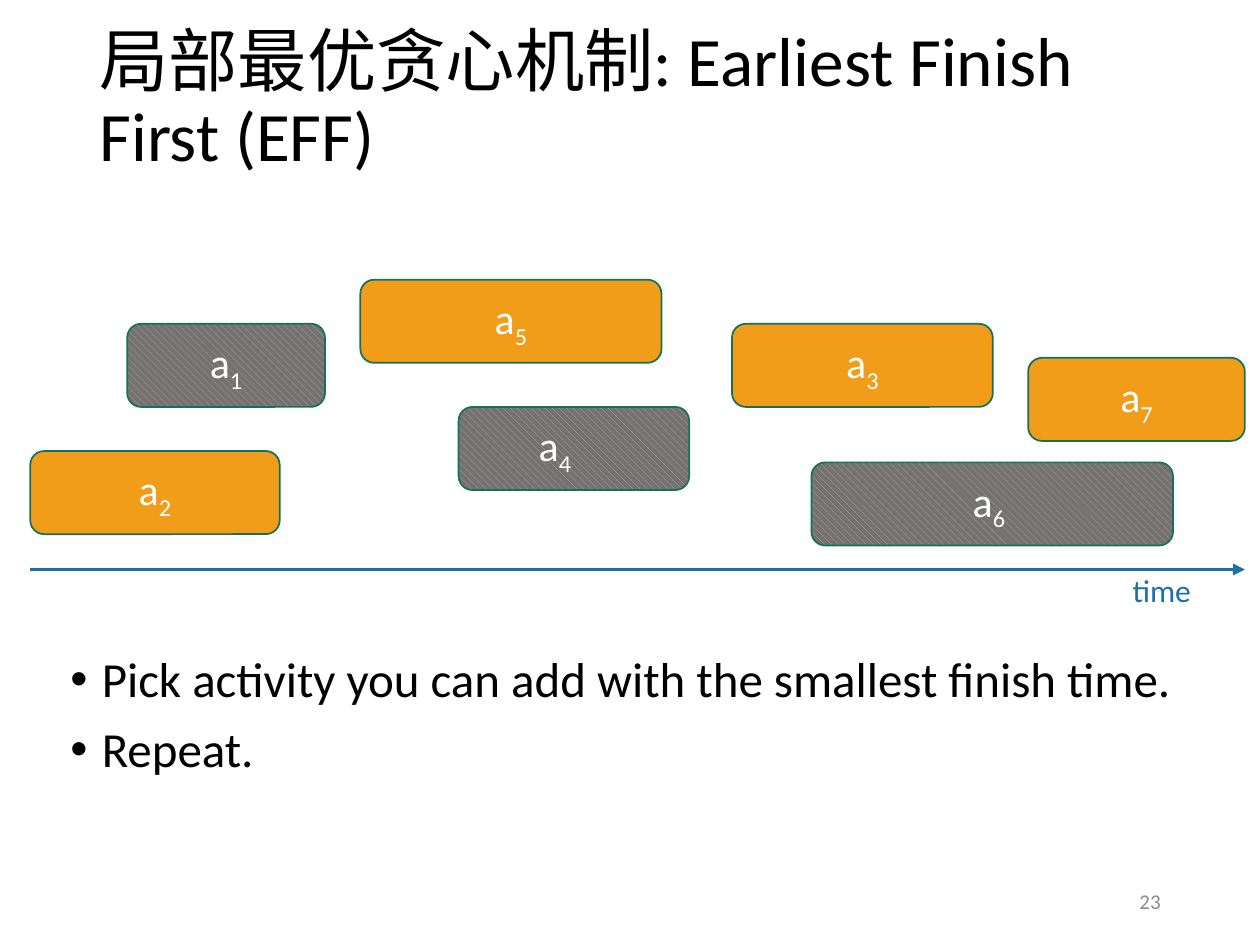
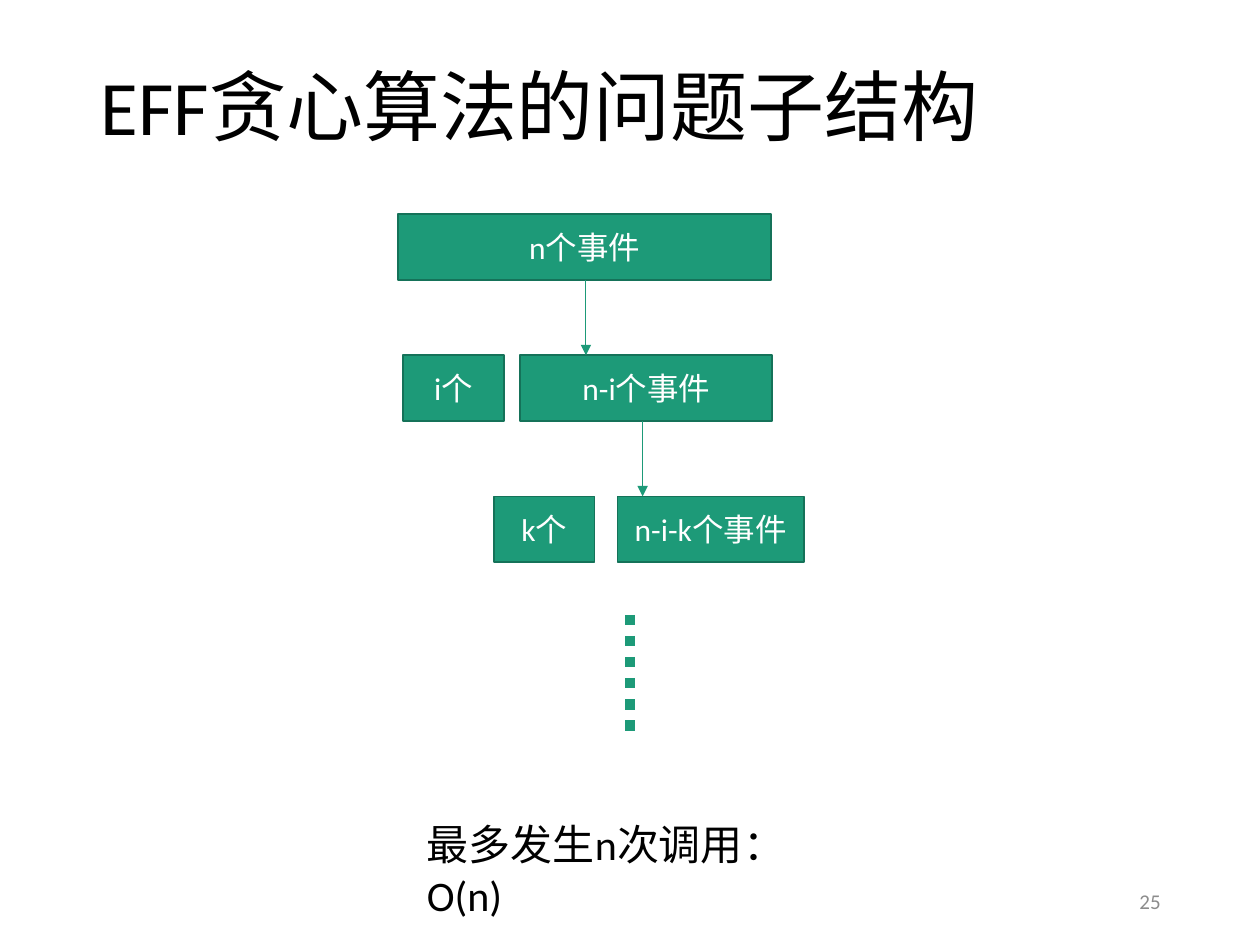
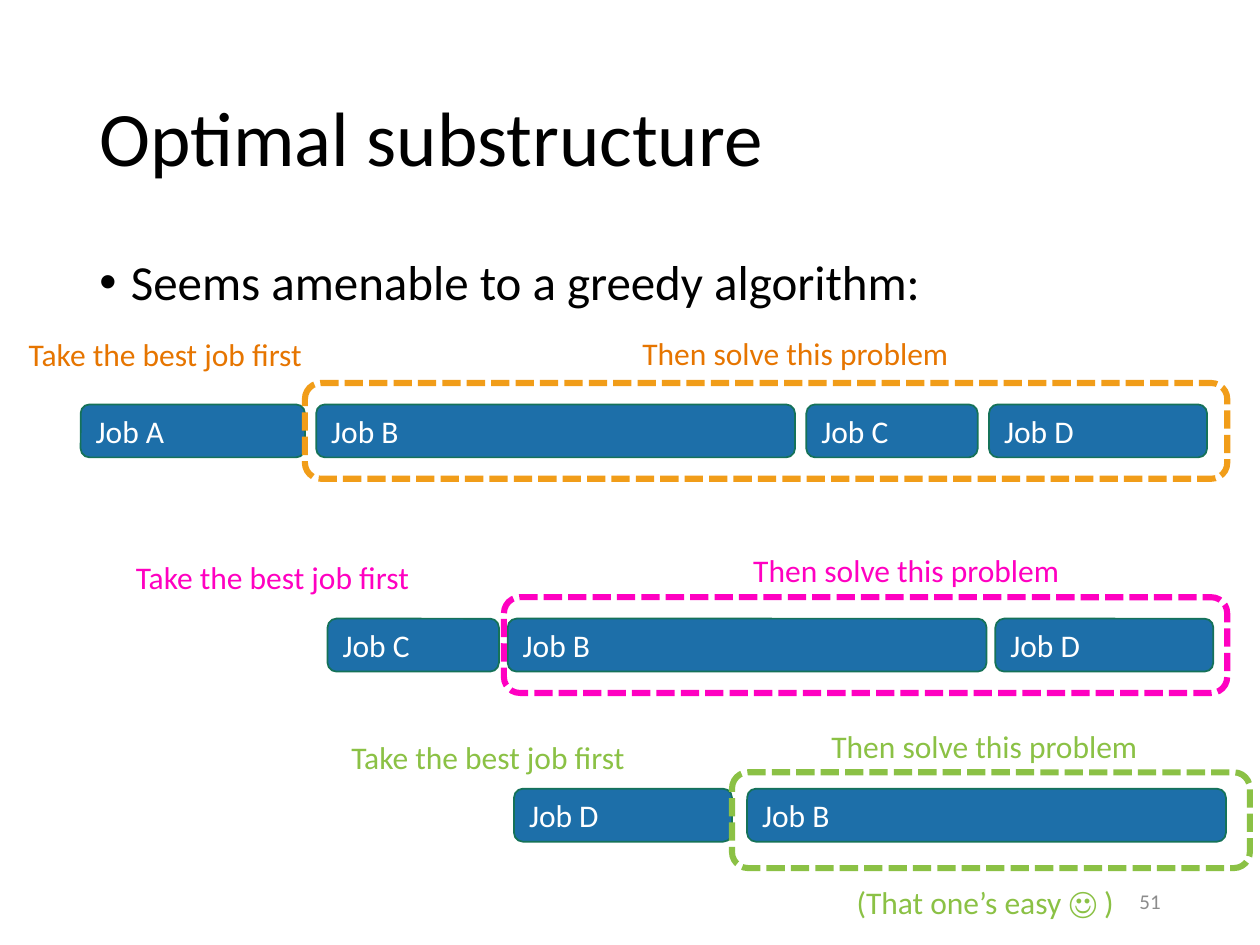
from dataclasses import dataclass

from lxml.etree import SubElement
from pptx import Presentation
from pptx.dml.color import RGBColor
from pptx.enum.dml import MSO_LINE, MSO_PATTERN
from pptx.enum.lang import MSO_LANGUAGE_ID
from pptx.enum.shapes import MSO_CONNECTOR, MSO_SHAPE
from pptx.enum.text import MSO_ANCHOR, PP_ALIGN
from pptx.oxml.ns import qn
from pptx.util import Inches, Pt


@dataclass(frozen=True)
class Theme:
    font: str = "Calibri"
    ink: str = "000000"
    paper: str = "FFFFFF"
    muted: str = "8C8C8C"
    edge: str = "157259"
    green: str = "1D9A78"
    blue: str = "1D6FA9"
    orange: str = "F19D19"
    dark_orange: str = "E67500"
    pink: str = "FF00C1"
    lime: str = "8BC145"
    hatch: str = "AFABAB"
    hatch_ground: str = "767171"
    title: float = 44
    long_title: float = 39.6
    body: float = 28
    label: float = 24
    caption: float = 18
    footer: float = 12


THEME = Theme()
WIDTH, HEIGHT = Inches(10), Inches(7.5)
COLUMNS, ROWS = 100, 75


def across(columns):
    return round(WIDTH * columns / COLUMNS)


def down(rows):
    return round(HEIGHT * rows / ROWS)


def place(column, row, columns, rows):
    return across(column), down(row), across(columns), down(rows)


def apply(target, values):
    for name, value in values.items():
        setattr(target, name, value)


def write(paragraph, text, size, color, subscript=""):
    for part in filter(None, (text, subscript)):
        run = paragraph.add_run()
        run.text = part
        apply(run.font, {
            "name": THEME.font,
            "size": Pt(size),
            "language_id": MSO_LANGUAGE_ID.SIMPLIFIED_CHINESE,
        })
        run.font.color.rgb = RGBColor.from_string(color)
        if part == subscript:
            run.font._element.set("baseline", "-25000")


def add_text(slide, area, text, size, color, frame_format=None, paragraph_format=None):
    frame = slide.shapes.add_textbox(*place(*area)).text_frame
    apply(frame, {"word_wrap": True, **(frame_format or {})})
    paragraph = frame.paragraphs[0]
    apply(paragraph, paragraph_format or {})
    write(paragraph, text, size, color)


def add_title(slide, text, column=6.9, row=4, size=THEME.title):
    add_text(slide, (column, row, 86.2, 14.5), text, size, THEME.ink,
             {"vertical_anchor": MSO_ANCHOR.MIDDLE}, {"line_spacing": 0.9})


def add_page_number(slide, number):
    add_text(slide, (70.6, 69.5, 22.5, 4), str(number), THEME.footer, THEME.muted,
             {"vertical_anchor": MSO_ANCHOR.MIDDLE}, {"alignment": PP_ALIGN.RIGHT})


def add_bullets(slide, area, points):
    frame = slide.shapes.add_textbox(*place(*area)).text_frame
    frame.word_wrap = True
    for index, point in enumerate(points):
        paragraph = frame.add_paragraph() if index else frame.paragraphs[0]
        apply(paragraph, {"line_spacing": 0.9, "space_before": Pt(10 if index else 0)})
        properties = paragraph._p.get_or_add_pPr()
        properties.set("marL", str(Inches(0.25)))
        properties.set("indent", str(-Inches(0.25)))
        SubElement(properties, qn("a:buFont"), typeface="Arial")
        SubElement(properties, qn("a:buChar"), char="•")
        write(paragraph, point, THEME.body, THEME.ink)


def add_block(slide, kind, area, fill, text, size, subscript="",
              alignment=PP_ALIGN.CENTER, margin_right=0.1):
    block = slide.shapes.add_shape(kind, *place(*area))
    block.shadow.inherit = False
    if fill == THEME.hatch:
        block.fill.patterned()
        block.fill.pattern = MSO_PATTERN.WIDE_DOWNWARD_DIAGONAL
        block.fill.fore_color.rgb = RGBColor.from_string(THEME.hatch)
        block.fill.back_color.rgb = RGBColor.from_string(THEME.hatch_ground)
    else:
        block.fill.solid()
        block.fill.fore_color.rgb = RGBColor.from_string(fill)
    block.line.color.rgb = RGBColor.from_string(THEME.edge)
    block.line.width = Pt(1)
    apply(block.text_frame, {
        "word_wrap": True,
        "vertical_anchor": MSO_ANCHOR.MIDDLE,
        "margin_right": Inches(margin_right),
    })
    paragraph = block.text_frame.paragraphs[0]
    paragraph.alignment = alignment
    write(paragraph, text, size, THEME.paper, subscript)


def add_dashed_frame(slide, area, color):
    frame = slide.shapes.add_shape(MSO_SHAPE.ROUNDED_RECTANGLE, *place(*area))
    frame.shadow.inherit = False
    frame.fill.background()
    frame.line.color.rgb = RGBColor.from_string(color)
    apply(frame.line, {"width": Pt(3.5), "dash_style": MSO_LINE.SQUARE_DOT})


def add_line(slide, start, end, color, width, dash=None):
    line = slide.shapes.add_connector(
        MSO_CONNECTOR.STRAIGHT, across(start[0]), down(start[1]), across(end[0]), down(end[1]))
    line.line.color.rgb = RGBColor.from_string(color)
    line.line.width = Pt(width)
    if dash:
        line.line.dash_style = dash
    else:
        SubElement(line.line._get_or_add_ln(), qn("a:tailEnd"), type="triangle")
    SubElement(line._element.spPr, qn("a:effectLst"))


def build_earliest_finish(slide):
    add_title(slide, "局部最优贪心机制: Earliest Finish First (EFF)", row=0.8, size=THEME.long_title)
    activities = [
        ("3", 58.1, 25.7, 20.7, THEME.orange, 0.1),
        ("1", 10.1, 25.7, 15.7, THEME.hatch, 0.1),
        ("4", 36.4, 32.3, 18.3, THEME.hatch, 0.4),
        ("2", 2.4, 35.8, 19.8, THEME.orange, 0.1),
        ("5", 28.6, 22.2, 23.9, THEME.orange, 0.1),
        ("7", 81.6, 28.4, 17.2, THEME.orange, 0.1),
        ("6", 64.4, 36.7, 28.7, THEME.hatch, 0.15),
    ]
    for number, column, row, duration, fill, margin in activities:
        add_block(slide, MSO_SHAPE.ROUNDED_RECTANGLE, (column, row, duration, 6.6), fill,
                  "a", THEME.label, subscript=number, margin_right=margin)
    add_line(slide, (2.4, 45.2), (98.8, 45.2), THEME.blue, 2.25)
    add_text(slide, (88.9, 44.8, 11.1, 4), "time", THEME.caption, THEME.blue)
    add_bullets(slide, (4.6, 51.5, 92, 17.9), [
        "Pick activity you can add with the smallest finish time.",
        "Repeat.",
    ])
    add_page_number(slide, 23)


def build_subproblems(slide):
    add_title(slide, "EFF贪心算法的问题子结构", column=7, row=1.5)
    first_row, step, height = 17, 11.2, 5.2
    levels = [
        [("n个事件", 31.6, 29.6)],
        [("i个", 32, 8), ("n-i个事件", 41.3, 20)],
        [("k个", 39.2, 8), ("n-i-k个事件", 49, 14.8)],
    ]
    for depth, events in enumerate(levels):
        for text, column, width in events:
            add_block(slide, MSO_SHAPE.RECTANGLE,
                      (column, first_row + depth * step, width, height),
                      THEME.green, text, THEME.caption)
    for depth, column in enumerate((46.5, 51)):
        top = first_row + depth * step
        add_line(slide, (column, top + height), (column, top + step), THEME.green, 0.5)
    add_line(slide, (50, 48.8), (50, 58.4), THEME.green, 6, MSO_LINE.ROUND_DOT)
    add_text(slide, (32.9, 64.5, 33, 5), "最多发生n次调用：O(n)", THEME.label, THEME.ink)


def add_job_row(slide, jobs, start, row, gap):
    lengths = {"A": 17.8, "B": 38, "C": 13.6, "D": 17.3}
    column = start
    for job in jobs:
        add_block(slide, MSO_SHAPE.ROUNDED_RECTANGLE, (column, row, lengths[job], 4.2),
                  THEME.blue, f"Job {job}", THEME.caption, alignment=PP_ALIGN.LEFT)
        column += lengths[job] + gap


def build_optimal_substructure(slide):
    add_title(slide, "Optimal substructure")
    add_bullets(slide, (6.9, 20, 86.2, 47.6), ["Seems amenable to a greedy algorithm:"])
    rounds = [
        (("ABCD", 6.4, 32.1, 0.9), (24.2, 30.4, 73.2), THEME.orange, THEME.dark_orange,
         (1.3, 26.1), (50, 26)),
        (("CBD", 26, 49.1, 0.7), (40, 47.4, 57.4), THEME.pink, THEME.pink,
         (9.8, 43.8), (58.8, 43.2)),
        (("DB", 40.8, 62.6, 1.2), (58.1, 61.3, 41.1), THEME.lime, THEME.lime,
         (26.9, 58.1), (65, 57.2)),
    ]
    for jobs, remainder, frame_color, text_color, choice, problem in rounds:
        add_job_row(slide, *jobs)
        add_dashed_frame(slide, (*remainder, 7.6), frame_color)
        for corner, text in ((choice, "Take the best job first"),
                             (problem, "Then solve this problem")):
            add_text(slide, (*corner, 34.3, 4.1), text, THEME.caption, text_color)
    add_text(slide, (67, 69.6, 34.3, 4.1), "(That one’s easy ☺ )", THEME.caption, THEME.lime)
    add_page_number(slide, 51)


def main():
    deck = Presentation()
    apply(deck, {"slide_width": WIDTH, "slide_height": HEIGHT})
    blank = deck.slide_layouts[6]
    greedy, subproblems, substructure = (deck.slides.add_slide(blank) for _ in range(3))
    build_earliest_finish(greedy)
    build_subproblems(subproblems)
    add_page_number(subproblems, 25)
    build_optimal_substructure(substructure)
    deck.save("out.pptx")


if __name__ == "__main__":
    main()
